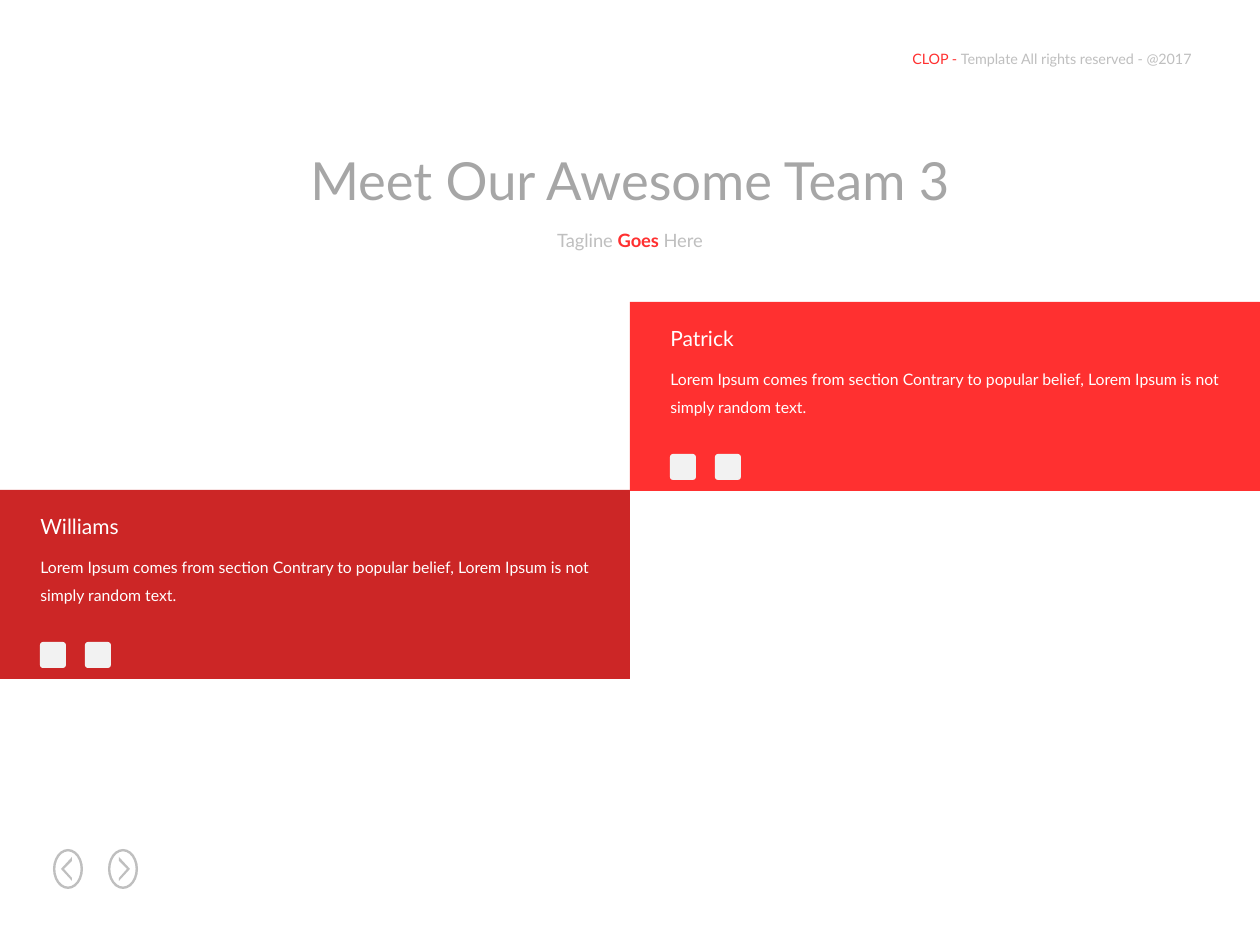
from dataclasses import dataclass

from pptx import Presentation
from pptx.dml.color import RGBColor
from pptx.enum.shapes import MSO_SHAPE as Preset
from pptx.enum.text import MSO_AUTO_SIZE as AutoSize, PP_ALIGN as Align
from pptx.util import Pt

SCALE = 914400 / 126
FONT = "Lato"
RED = "FF3030"
DARK_RED = "CC2626"
WHITE = "FFFFFF"
ICON_GRAY = "F2F2F2"
LIGHT_GRAY = "BFBFBF"
TITLE_GRAY = "A6A6A6"
BIOGRAPHY = (
    "Lorem Ipsum comes from section Contrary to popular belief, "
    "Lorem Ipsum is not simply random text."
)


@dataclass(frozen=True)
class Run:
    text: str
    color: str
    bold: bool = False


@dataclass(frozen=True)
class Member:
    name: str
    name_width: int
    left: int
    top: int
    color: str


@dataclass(frozen=True)
class Arrow:
    left: int
    direction: int


MEMBERS = (
    Member("Williams", 105, 0, 490, DARK_RED),
    Member("Patrick", 91, 630, 302, RED),
)
ARROWS = (Arrow(53, -1), Arrow(108, 1))


def px(length: int) -> int:
    return round(length * SCALE)


def rgb(color: str) -> RGBColor:
    return RGBColor.from_string(color)


def paint(shape, color: str) -> None:
    shape.shadow.inherit = False
    shape.fill.solid()
    shape.fill.fore_color.rgb = rgb(color)
    shape.line.fill.background()


def add_preset(slide, preset, box: tuple[int, ...], color: str):
    shape = slide.shapes.add_shape(preset, *map(px, box))
    paint(shape, color)
    return shape


def add_text(slide, box: tuple[int, ...], *runs: Run, size: float,
             align=Align.LEFT, wrap: bool = False, spacing: float = 1.0) -> None:
    frame = slide.shapes.add_textbox(*map(px, box)).text_frame
    frame.word_wrap = wrap
    frame.auto_size = AutoSize.SHAPE_TO_FIT_TEXT
    paragraph = frame.paragraphs[0]
    paragraph.alignment = align
    paragraph.line_spacing = spacing
    for item in runs:
        run = paragraph.add_run()
        run.text = item.text
        run.font.name = FONT
        run.font.size = Pt(size)
        run.font.bold = item.bold
        run.font.color.rgb = rgb(item.color)


def add_arrow(slide, arrow: Arrow) -> None:
    ring = add_preset(slide, Preset.DONUT, (arrow.left, 849, 30, 40), LIGHT_GRAY)
    ring.adjustments[0] = 0.08
    center = arrow.left + 15
    back, inner, tip = (center + arrow.direction * step for step in (-4, 4, 7))
    points = [(back, 861), (inner, 869), (back, 878),
              (back, 881), (tip, 869), (back, 857)]
    start, *others = [(px(x), px(y)) for x, y in points]
    builder = slide.shapes.build_freeform(*start)
    builder.add_line_segments(others, close=True)
    paint(builder.convert_to_shape(), LIGHT_GRAY)


def add_member(slide, member: Member) -> None:
    left, top = member.left, member.top
    add_preset(slide, Preset.RECTANGLE, (left, top, 630, 189), member.color)
    add_text(slide, (left + 28, top + 52, 577, 71), Run(BIOGRAPHY, WHITE),
             size=9, wrap=True, spacing=1.5)
    add_text(slide, (left + 28, top + 17, member.name_width, 38),
             Run(member.name, WHITE), size=12)
    for offset in (40, 85):
        icon = add_preset(slide, Preset.ROUNDED_RECTANGLE,
                          (left + offset, top + 152, 26, 26), ICON_GRAY)
        icon.adjustments[0] = 0.12


def main() -> None:
    presentation = Presentation()
    presentation.slide_width = px(1260)
    presentation.slide_height = px(945)
    slide = presentation.slides.add_slide(presentation.slide_layouts[6])
    slide.background.fill.solid()
    slide.background.fill.fore_color.rgb = rgb(WHITE)

    add_text(slide, (900, 44, 315, 30), Run("CLOP - ", RED),
             Run("Template All rights reserved - @2017", LIGHT_GRAY), size=8.2)
    for arrow in ARROWS:
        add_arrow(slide, arrow)
    add_text(slide, (286, 142, 688, 77), Run("Meet Our Awesome Team 3", TITLE_GRAY),
             size=30, align=Align.CENTER)
    add_text(slide, (542, 223, 176, 35), Run("Tagline ", LIGHT_GRAY),
             Run("Goes ", RED, bold=True), Run("Here", LIGHT_GRAY),
             size=10.5, align=Align.CENTER)
    for member in MEMBERS:
        add_member(slide, member)
    presentation.save("out.pptx")


if __name__ == "__main__":
    main()
